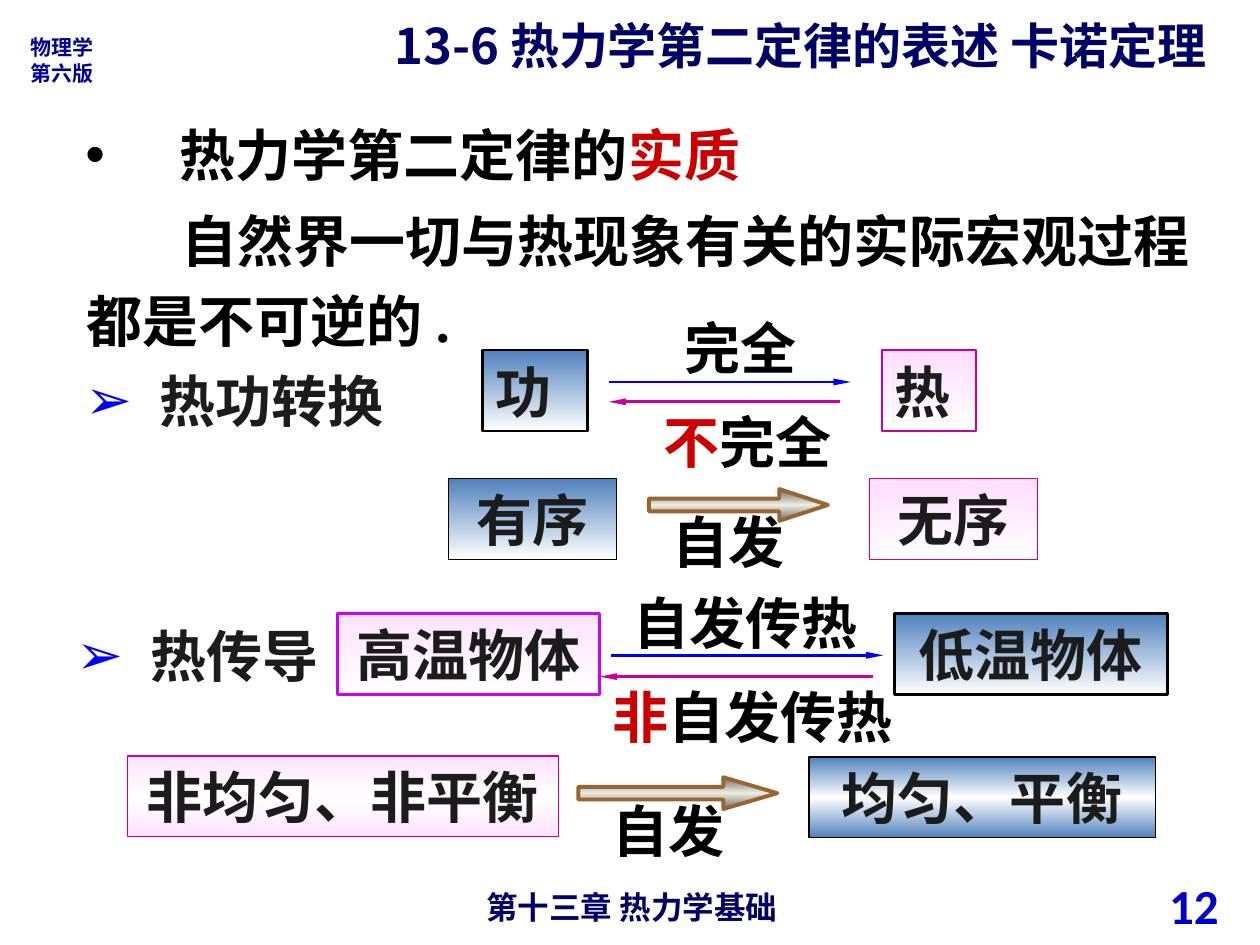
from lxml.etree import SubElement
from pptx import Presentation
from pptx.dml.color import RGBColor
from pptx.enum.shapes import MSO_CONNECTOR, MSO_SHAPE
from pptx.enum.text import MSO_ANCHOR, PP_ALIGN
from pptx.oxml.ns import qn
from pptx.util import Cm, Pt

NAVY, BLUE, MAGENTA, RED = "000066", "0000FF", "CC0099", "CC0000"
BLACK, DARK = "000000", "1C1C1C"
LEFT, CENTER, RIGHT = PP_ALIGN.LEFT, PP_ALIGN.CENTER, PP_ALIGN.RIGHT
CJK = "Noto Sans CJK SC"
ROW_H = 1.63

COOL = ["4F81BD", "FFFFFF"]
WARM = ["FFDDFF", "FFFFFF"]
PALE = ["FDE2FE", "FFFFFF"]
METAL = ["6E6D68", "EEECE1", "6E6D68"]

FRAME = [
    (0.36, 0.58, 1.83, 1.27, ["物理学", "第六版"], 12, CJK, "000099", LEFT, MSO_ANCHOR.TOP),
    (18.9, 17.73, 5.92, 1.02, ["12"], 28, "Calibri", "0000CC", RIGHT, MSO_ANCHOR.MIDDLE),
    (8.71, 17.78, 8.05, 0.74, ["第十三章 热力学基础"], 18, CJK, NAVY, CENTER, MSO_ANCHOR.TOP),
    (7.7, 0.18, 17.4, 2.64, ["13-6 热力学第二定律的表述 卡诺定理"], 28, CJK, NAVY, LEFT, MSO_ANCHOR.TOP),
]
BULLETS = [
    (1.47, 2.31, 15.04, 1.9, "•", BLACK, [("热力学第二定律的", BLACK), ("实质", RED)]),
    (1.47, 7.26, 8, 1.49, "➢", BLUE, [("热功转换", DARK)]),
    (1.3, 12.4, 5.5, 1.49, "➢", BLUE, [("热传导", DARK)]),
]
BOXES = [
    (9.73, 7.06, 2.11, "功", COOL, BLACK, 1.5, LEFT),
    (17.78, 7.06, 1.9, "热", WARM, MAGENTA, 1.5, LEFT),
    (9.04, 9.65, 3.38, "有序", COOL, BLACK, 0.5, CENTER),
    (17.53, 9.65, 3.38, "无序", WARM, MAGENTA, 0.75, CENTER),
    (6.81, 12.37, 5.28, "高温物体", PALE, "CC00FF", 1.5, CENTER),
    (18.03, 12.37, 5.51, "低温物体", COOL, BLACK, 1.5, CENTER),
    (2.57, 15.24, 8.69, "非均匀、非平衡", PALE + PALE[:1], MAGENTA, 0.75, CENTER),
    (16.31, 15.26, 6.98, "均匀、平衡", COOL + COOL[:1], BLACK, 0.75, CENTER),
]
BLOCK_ARROWS = [(13.08, 9.86, 3.61, 1.53), (11.66, 15.67, 4.01, 1.7)]
LINES = [
    (12.27, 17.15, 7.7, BLUE),
    (16.94, 12.27, 8.1, MAGENTA),
    (12.32, 17.81, 13.21, BLUE),
    (17.6, 12.09, 13.64, MAGENTA),
]
LABELS = [
    (13.54, 6.2, 3.81, [("完全", BLACK)]),
    (13.13, 8.1, 5.59, [("不", RED), ("完全", BLACK)]),
    (13.31, 10.11, 3.58, [("自发", BLACK)]),
    (12.52, 11.73, 5.92, [("自发传热", BLACK)]),
    (12.09, 13.64, 6.58, [("非", RED), ("自发传热", BLACK)]),
    (12.09, 15.93, 5.08, [("自发", BLACK)]),
]


def rgb(value):
    return RGBColor.from_string(value)


def add_run(p, text, color, size=32, font="Arial"):
    r = p.add_run()
    r.text = text
    r.font.size, r.font.name, r.font.bold = Pt(size), font, True
    r.font.color.rgb = rgb(color)


def text_box(x, y, w, h=ROW_H):
    tf = s.shapes.add_textbox(Cm(x), Cm(y), Cm(w), Cm(h)).text_frame
    tf.word_wrap = True
    return tf


def add_runs(p, runs):
    for text, color in runs:
        add_run(p, text, color)


def shape(kind, x, y, w, h, colors, line, width):
    sp = s.shapes.add_shape(kind, Cm(x), Cm(y), Cm(w), Cm(h))
    sp.shadow.inherit = False
    sp.line.color.rgb, sp.line.width = rgb(line), Pt(width)
    sp.fill.gradient()
    sp.fill.gradient_angle = 270
    stops = sp._element.spPr.find(qn("a:gradFill")).find(qn("a:gsLst"))
    for stop in list(stops):
        stops.remove(stop)
    for i, color in enumerate(colors):
        stop = SubElement(stops, qn("a:gs"), pos=str(i * 100000 // (len(colors) - 1)))
        SubElement(stop, qn("a:srgbClr"), val=color)
    return sp


def add_bullet(p, char, color, indent):
    pPr = p._p.get_or_add_pPr()
    pPr.set("marL", str(Cm(indent)))
    pPr.set("indent", str(-Cm(indent)))
    SubElement(SubElement(pPr, qn("a:buClr")), qn("a:srgbClr"), val=color)
    SubElement(pPr, qn("a:buFont"), typeface="Arial")
    SubElement(pPr, qn("a:buChar"), char=char)


prs = Presentation()
prs.slide_width, prs.slide_height = Cm(25.4), Cm(19.05)
s = prs.slides.add_slide(prs.slide_layouts[6])

for x, y, w, h, lines, size, font, color, align, anchor in FRAME:
    tf = text_box(x, y, w, h)
    tf.vertical_anchor = anchor
    for i, line in enumerate(lines):
        p = tf.add_paragraph() if i else tf.paragraphs[0]
        p.alignment = align
        add_run(p, line, color, size, font)

p = text_box(1.5, 3.76, 23.06, 3.51).paragraphs[0]
p.line_spacing = 1.2
p._p.get_or_add_pPr().set("indent", str(Cm(1.9)))
add_run(p, "自然界一切与热现象有关的实际宏观过程都是不可逆的 ", BLACK)
add_run(p, ".", BLACK, font="Times New Roman")

for x, y, w, indent, char, color, runs in BULLETS:
    p = text_box(x, y, w).paragraphs[0]
    add_bullet(p, char, color, indent)
    add_runs(p, runs)

for x, y, w, text, colors, line, width, align in BOXES:
    sp = shape(MSO_SHAPE.RECTANGLE, x, y, w, ROW_H, colors, line, width)
    p = sp.text_frame.paragraphs[0]
    p.alignment = align
    add_run(p, text, DARK)

for x, y, w, head in BLOCK_ARROWS:
    sp = shape(MSO_SHAPE.RIGHT_ARROW, x, y, w, 0.64, METAL, "996633", 2.25)
    sp.adjustments[0], sp.adjustments[1] = 0.4, head

for x1, x2, y, color in LINES:
    c = s.shapes.add_connector(MSO_CONNECTOR.STRAIGHT, Cm(x1), Cm(y), Cm(x2), Cm(y))
    c.line.color.rgb, c.line.width = rgb(color), Pt(1.5)
    SubElement(c.line._get_or_add_ln(), qn("a:tailEnd"), type="triangle", w="sm", len="lg")
    SubElement(c._element.spPr, qn("a:effectLst"))

for x, y, w, runs in LABELS:
    add_runs(text_box(x, y, w).paragraphs[0], runs)

prs.save("out.pptx")
